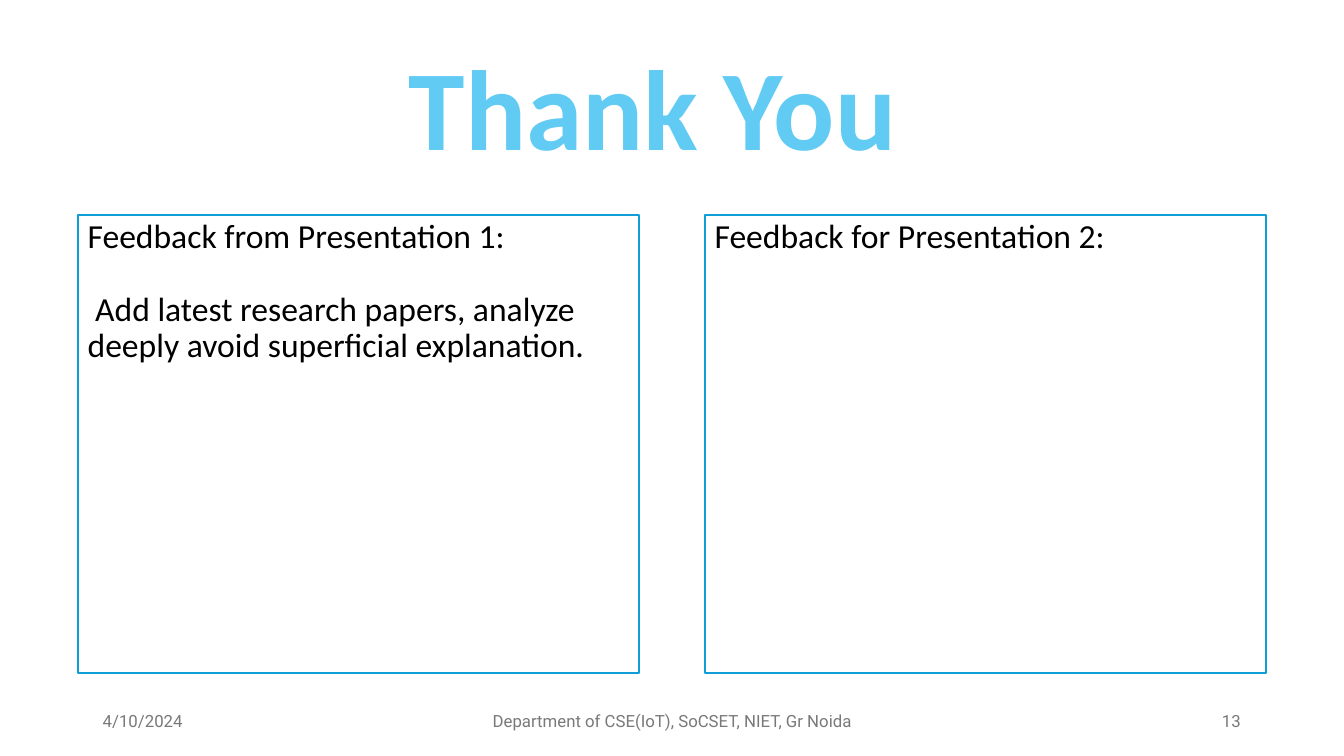
from pptx import Presentation
from pptx.dml.color import RGBColor
from pptx.enum.shapes import MSO_SHAPE as Shape
from pptx.enum.text import MSO_ANCHOR as Anchor, MSO_AUTO_SIZE as AutoSize, PP_ALIGN as Align
from pptx.util import Cm, Pt

SKY = RGBColor(0x61, 0xCB, 0xF4)
BLUE = RGBColor(0x0F, 0x9E, 0xD5)
GRAY = RGBColor(0x79, 0x79, 0x79)
BLACK = RGBColor(0, 0, 0)
WHITE = RGBColor(0xFF, 0xFF, 0xFF)


class Deck:
    """Holds the style and the current slide."""

    title_font = dict(name="Calibri", size=Pt(81.4), bold=True)
    body_font = dict(name="Calibri", size=Pt(24))
    footer_font = dict(name="Roboto", size=Pt(12))

    def __init__(self):
        self.prs = Presentation()
        self.prs.slide_width, self.prs.slide_height = Cm(33.87), Cm(19.05)
        self.s = self.prs.slides.add_slide(self.prs.slide_layouts[5])

    def fill_text(self, sp, texts, font, color, anchor, **para):
        tf = sp.text_frame
        tf.word_wrap = True
        tf.auto_size = AutoSize.NONE
        tf.vertical_anchor = anchor
        for i, text in enumerate(texts):
            p = tf.paragraphs[0] if i == 0 else tf.add_paragraph()
            r = p.add_run()
            r.text = text
            for key, value in para.items():
                setattr(p, key, value)
            for key, value in font.items():
                setattr(r.font, key, value)
            r.font.color.rgb = color
        return tf

    def title(self, text, x, y, w, h):
        sp = self.s.shapes.title
        sp.left, sp.top, sp.width, sp.height = Cm(x), Cm(y), Cm(w), Cm(h)
        self.fill_text(sp, [text], self.title_font, SKY, Anchor.TOP,
                       alignment=Align.CENTER, line_spacing=0.8)

    def panel(self, texts, x, y, w, h):
        sp = self.s.shapes.add_shape(Shape.RECTANGLE, Cm(x), Cm(y), Cm(w), Cm(h))
        sp.shadow.inherit = False
        sp.fill.solid()
        sp.fill.fore_color.rgb = WHITE
        sp.line.color.rgb = BLUE
        sp.line.width = Pt(1.5)
        tf = self.fill_text(sp, texts, self.body_font, BLACK, Anchor.TOP,
                            alignment=Align.LEFT, line_spacing=0.9)
        # Later paragraphs stand one line lower, with a slight first-line indent
        for p in tf.paragraphs[1:]:
            p.space_before = Pt(26)
            p._p.get_or_add_pPr().set("indent", str(Cm(0.19)))

    def footer(self, text, x, w, align):
        sp = self.s.shapes.add_textbox(Cm(x), Cm(17.65), Cm(w), Cm(1.02))
        self.fill_text(sp, [text], self.footer_font, GRAY, Anchor.MIDDLE, alignment=align)


def main():
    deck = Deck()

    # Title
    deck.title("Thank You", 9.37, 1.47, 14.15, 3.25)

    # Feedback panels
    panels = [
        ["Feedback from Presentation 1:",
         "Add latest research papers, analyze deeply avoid superficial explanation."],
        ["Feedback for Presentation 2:"],
    ]
    for i, texts in enumerate(panels):
        deck.panel(texts, 1.96 + 15.8 * i, 5.41, 14.15, 11.56)

    # Footer
    deck.footer("4/10/2024", 2.34, 7.62, Align.LEFT)
    deck.footer("Department of CSE(IoT), SoCSET, NIET, Gr Noida", 11.23, 11.43, Align.CENTER)
    deck.footer("13", 23.9, 7.62, Align.RIGHT)

    deck.prs.save("out.pptx")


if __name__ == "__main__":
    main()
